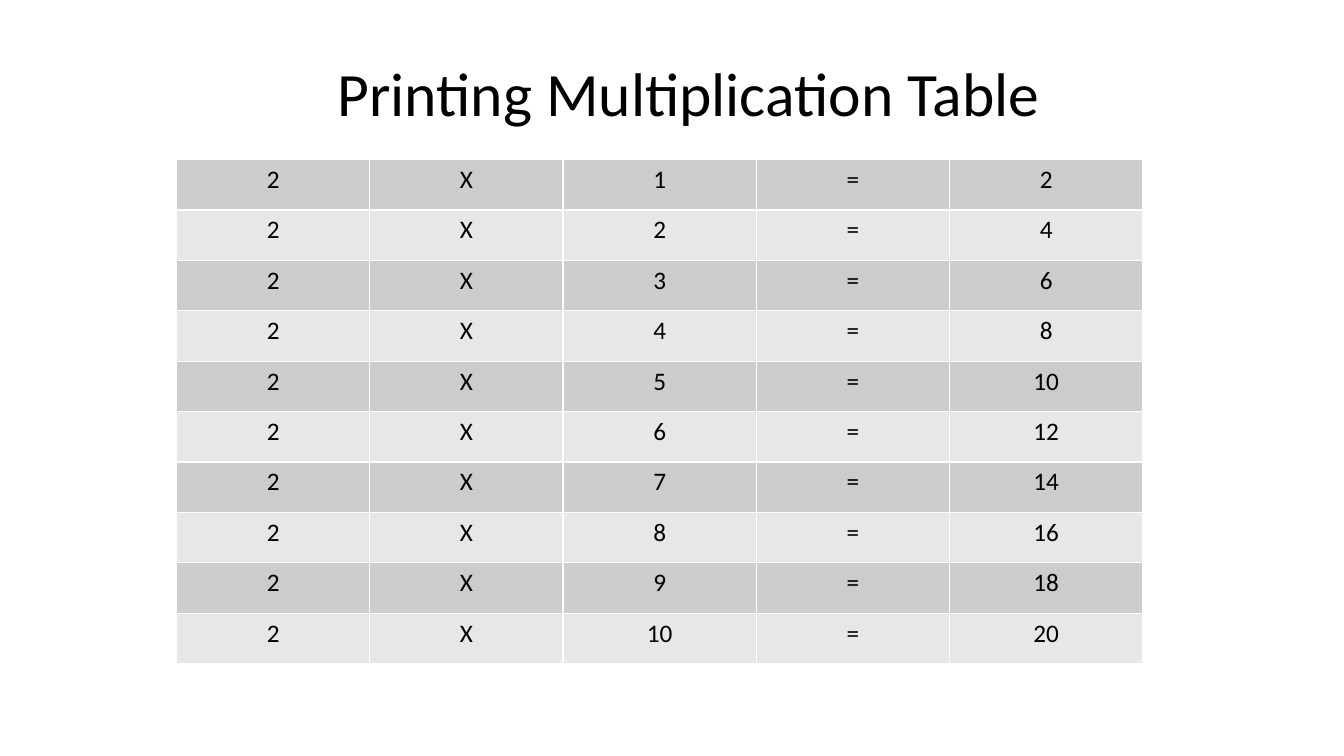
from lxml import etree
from pptx import Presentation
from pptx.dml.color import RGBColor
from pptx.enum.text import MSO_ANCHOR, PP_ALIGN
from pptx.oxml.ns import qn
from pptx.util import Cm, Pt

CENTER = PP_ALIGN.CENTER
MIDDLE = MSO_ANCHOR.MIDDLE
BLACK = RGBColor(0x00, 0x00, 0x00)
WHITE = RGBColor(0xFF, 0xFF, 0xFF)
DARK = RGBColor(0xCC, 0xCC, 0xCC)
LIGHT = RGBColor(0xE7, 0xE7, 0xE7)

TITLE = "Printing Multiplication Table"
BASE = 2
LINES = [(BASE, "X", n, "=", BASE * n) for n in range(1, 11)]
BANDS = (DARK, LIGHT)

TITLE_BOX = (Cm(5.93), Cm(0.85), Cm(22.86), Cm(3.18))
LEFT, TOP = Cm(4.45), Cm(4.02)
COL, ROW = Cm(4.87), Cm(1.27)
TITLE_FONT = {"name": "Calibri", "size": Pt(44)}
CELL_FONT = {"name": "Calibri", "size": Pt(18), "bold": False}


def write(frame, text, font):
    para = frame.paragraphs[0]
    para.alignment = CENTER
    run = para.add_run()
    run.text = str(text)
    for key, value in font.items():
        setattr(run.font, key, value)
    run.font.color.rgb = BLACK
    return para


def edge(cell):
    props = cell._tc.get_or_add_tcPr()
    for side in ("lnL", "lnR", "lnT", "lnB"):
        line = etree.SubElement(props, qn("a:" + side), w=str(Pt(1)))
        fill = etree.SubElement(line, qn("a:solidFill"))
        etree.SubElement(fill, qn("a:srgbClr"), val=str(WHITE))


def main():
    deck = Presentation()
    deck.slide_width, deck.slide_height = Cm(33.87), Cm(19.05)
    slide = deck.slides.add_slide(deck.slide_layouts[6])

    frame = slide.shapes.add_textbox(*TITLE_BOX).text_frame
    frame.word_wrap = True
    frame.vertical_anchor = MIDDLE
    write(frame, TITLE, TITLE_FONT).line_spacing = 0.9

    rows, cols = len(LINES), len(LINES[0])
    table = slide.shapes.add_table(
        rows, cols, LEFT, TOP, COL * cols, ROW * rows).table
    table.first_row = False
    for r, line in enumerate(LINES):
        for c, text in enumerate(line):
            cell = table.cell(r, c)
            edge(cell)
            cell.fill.solid()
            cell.fill.fore_color.rgb = BANDS[r % 2]
            write(cell.text_frame, text, CELL_FONT)

    deck.save("out.pptx")


if __name__ == "__main__":
    main()
